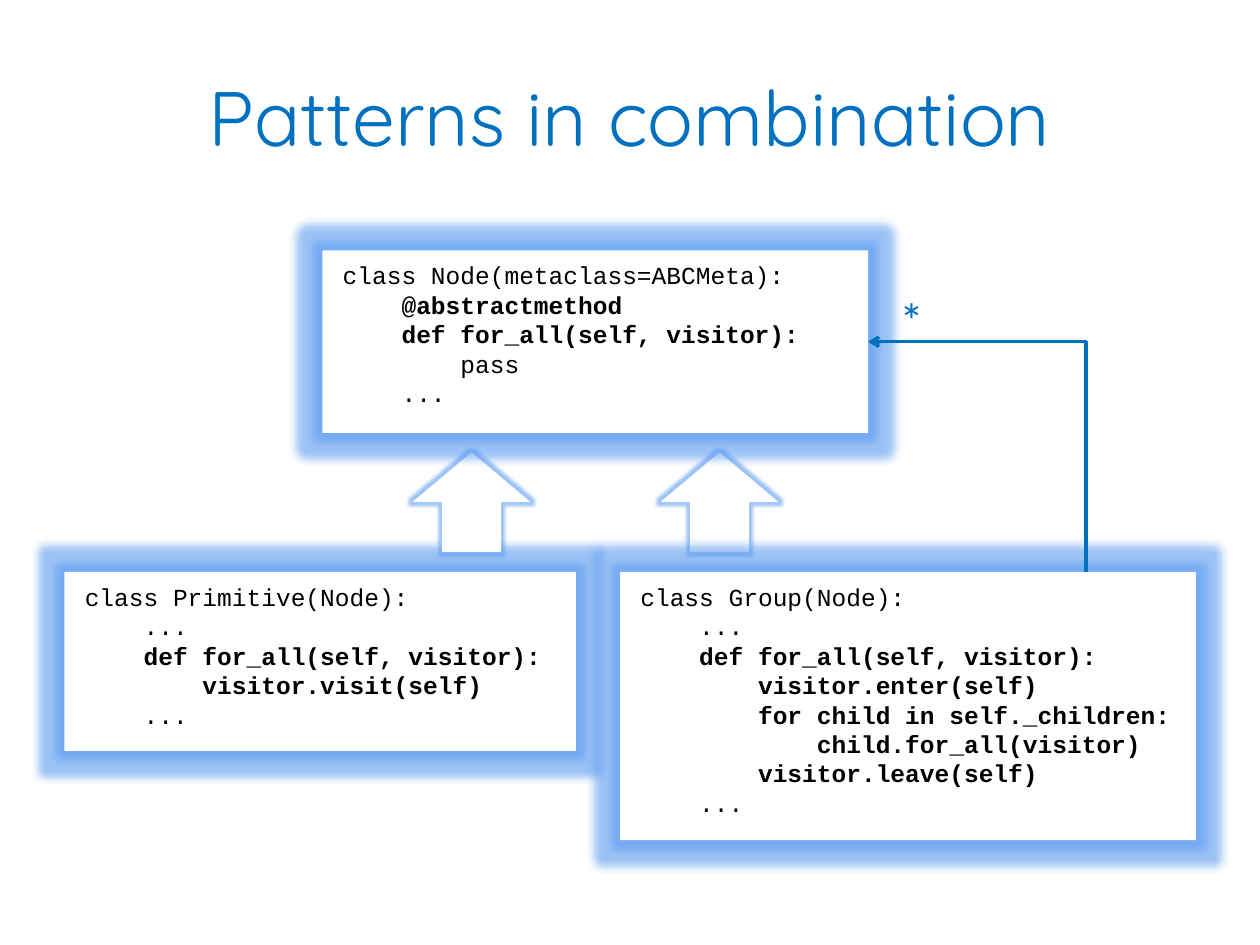
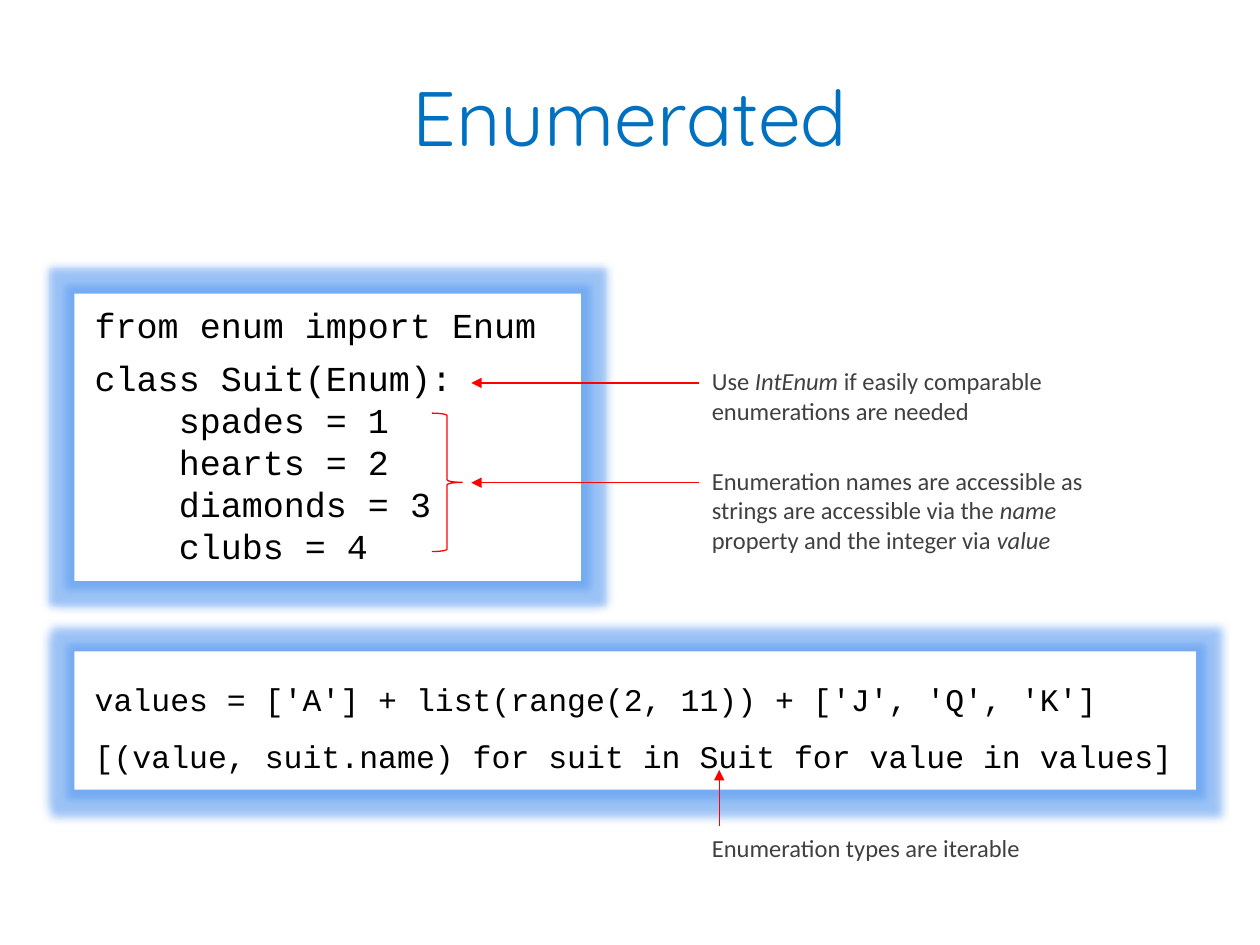
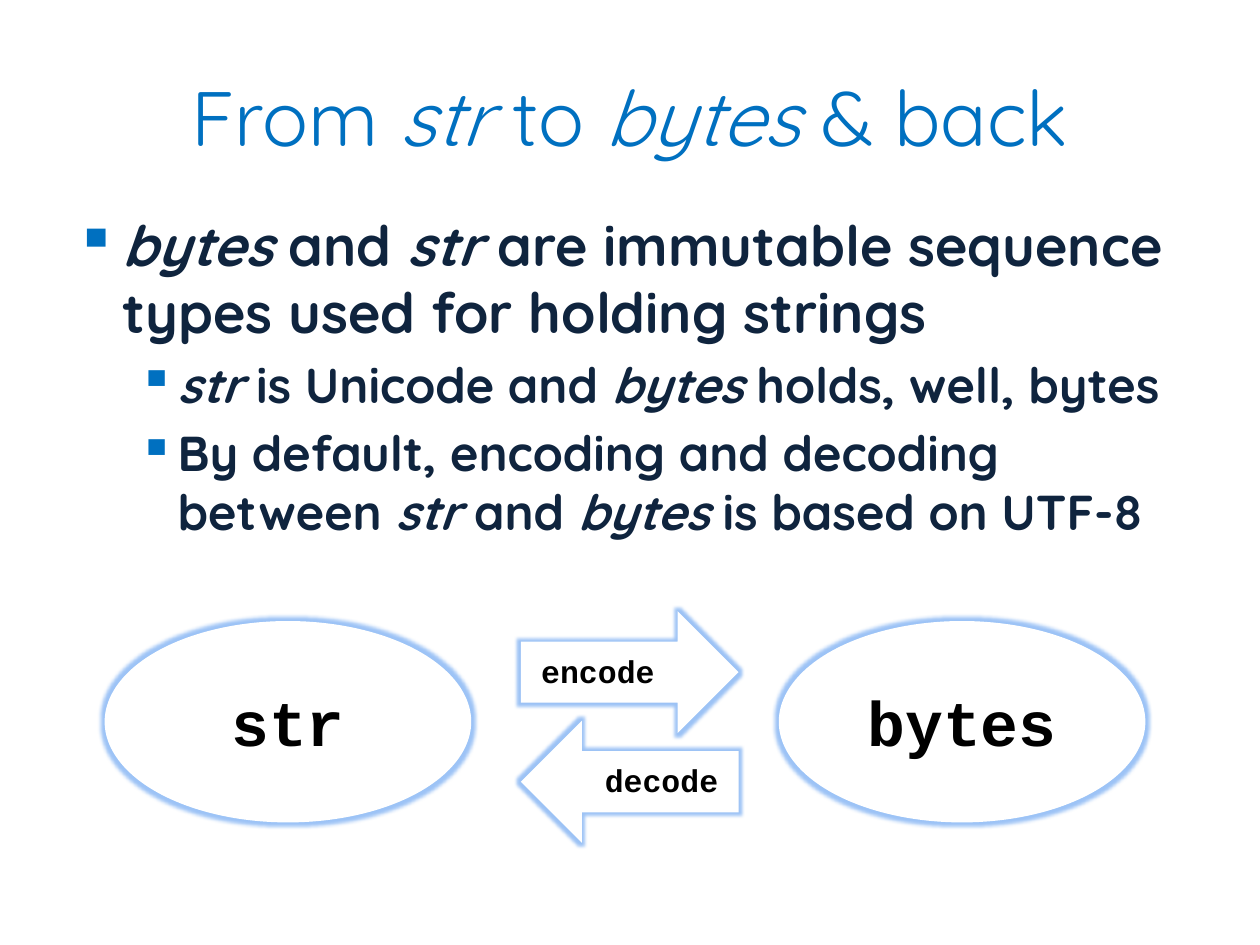
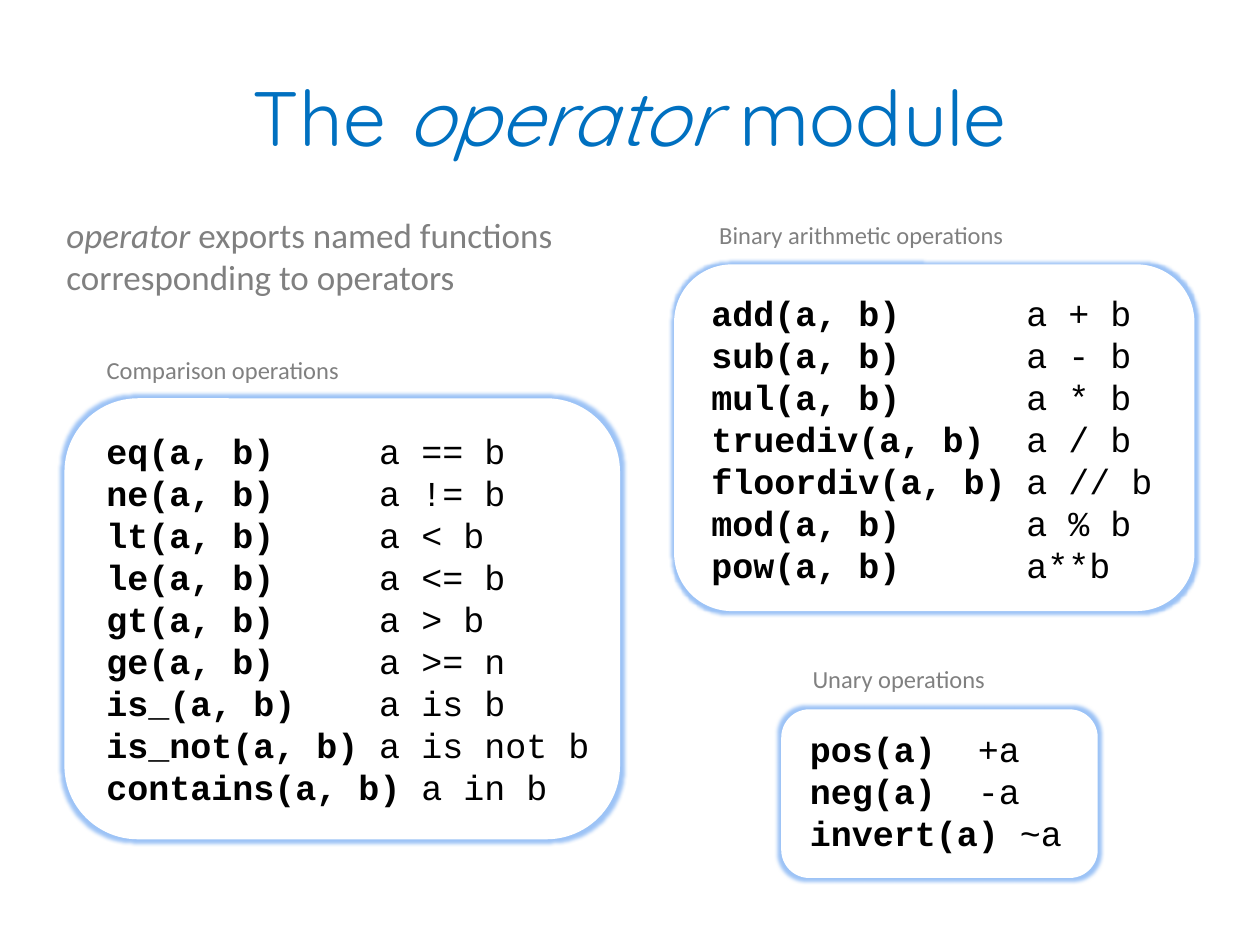
from dataclasses import dataclass
from typing import NamedTuple

from lxml.etree import SubElement
from pptx import Presentation
from pptx.dml.color import RGBColor
from pptx.enum.shapes import MSO_CONNECTOR, MSO_SHAPE
from pptx.enum.text import MSO_ANCHOR, PP_ALIGN
from pptx.oxml.ns import qn
from pptx.shapes.autoshape import Shape
from pptx.slide import Slide
from pptx.text.text import TextFrame, _Paragraph
from pptx.util import Cm, Pt

BLUE = "0070C0"
NAVY = "0F243E"
BLACK = "000000"
WHITE = "FFFFFF"
RED = "FF0000"
DARK_GREY = "404040"
GREY = "808080"
GLOW = "5B9BF0"

HEADING_FONT = "Quicksand"
CODE_FONT = "Courier New"
NOTE_FONT = "Calibri"

WIDE_GLOW = 10
THIN_GLOW = 4
SIDE_INSET = 0.41
EDGE_INSET = 0.2
MARK = "|"


class Box(NamedTuple):
    left: float
    top: float
    width: float
    height: float

    def lengths(self) -> tuple[Cm, Cm, Cm, Cm]:
        return Cm(self.left), Cm(self.top), Cm(self.width), Cm(self.height)


@dataclass(frozen=True)
class Style:
    font: str
    size: float
    color: str
    bold: bool = False
    italic: bool = False
    marked: str = "italic"


@dataclass(frozen=True)
class Panel:
    box: Box
    lines: tuple[str, ...] = ()
    size: float = 14
    kind: MSO_SHAPE = MSO_SHAPE.RECTANGLE
    glow: float = WIDE_GLOW
    bold: bool = False
    align: PP_ALIGN = PP_ALIGN.LEFT
    anchor: MSO_ANCHOR = MSO_ANCHOR.TOP
    insets: tuple[float, float, float] = (SIDE_INSET, EDGE_INSET, SIDE_INSET)
    flipped: bool = False
    tab_columns: tuple[int, ...] = ()


@dataclass(frozen=True)
class Note:
    box: Box
    text: str
    size: float = 14
    color: str = DARK_GREY
    wrap: bool = True


class Bullet(NamedTuple):
    text: str
    level: int


class BulletLevel(NamedTuple):
    margin: float
    hanging: float
    size: float


TITLE_BOX = Box(1.27, 0.74, 22.86, 3.18)
TITLE_STYLE = Style(HEADING_FONT, 44, BLUE)
BULLET_LEVELS = (BulletLevel(0.95, 0.95, 32), BulletLevel(2.06, 0.79, 28))


def rgb(color: str) -> RGBColor:
    return RGBColor.from_string(color)


def write(paragraph: _Paragraph, text: str, style: Style) -> None:
    for index, part in enumerate(text.split(MARK)):
        if not part:
            continue
        run = paragraph.add_run()
        run.text = part
        font = run.font
        font.name, font.size = style.font, Pt(style.size)
        font.color.rgb = rgb(style.color)
        font.bold, font.italic = style.bold, style.italic
        if index % 2:
            setattr(font, style.marked, True)


def write_lines(frame: TextFrame, lines: tuple[str, ...], style: Style) -> list[_Paragraph]:
    paragraphs = []
    for index, line in enumerate(lines):
        paragraph = frame.add_paragraph() if index else frame.paragraphs[0]
        write(paragraph, line, style)
        paragraphs.append(paragraph)
    return paragraphs


def add_titled_slide(deck: Presentation, title: str) -> Slide:
    slide = deck.slides.add_slide(deck.slide_layouts[5])
    heading = slide.shapes.title
    heading.left, heading.top, heading.width, heading.height = TITLE_BOX.lengths()
    heading.text_frame.vertical_anchor = MSO_ANCHOR.MIDDLE
    paragraph = heading.text_frame.paragraphs[0]
    paragraph.alignment = PP_ALIGN.CENTER
    write(paragraph, title, TITLE_STYLE)
    return slide


def add_glow(shape: Shape, radius: float) -> None:
    effects = shape.element.spPr.find(qn("a:effectLst"))
    glow = SubElement(effects, qn("a:glow"), rad=str(Pt(radius)))
    color = SubElement(glow, qn("a:srgbClr"), val=GLOW)
    SubElement(color, qn("a:alpha"), val="60000")


def flip(shape: Shape) -> None:
    shape.element.spPr.find(qn("a:xfrm")).set("flipH", "1")


def add_arrowhead(line_shape, head: str) -> None:
    line = line_shape.element.spPr.find(qn("a:ln"))
    SubElement(line, qn("a:tailEnd"), type=head)


def add_tab_stops(paragraph: _Paragraph, columns: tuple[int, ...], size: float) -> None:
    stops = SubElement(paragraph._p.get_or_add_pPr(), qn("a:tabLst"))
    for column in columns:
        SubElement(stops, qn("a:tab"), pos=str(Pt(column * size * 0.6)), algn="l")


def add_panel(slide: Slide, panel: Panel) -> list[_Paragraph]:
    shape = slide.shapes.add_shape(panel.kind, *panel.box.lengths())
    shape.shadow.inherit = False
    shape.fill.solid()
    shape.fill.fore_color.rgb = rgb(WHITE)
    shape.line.fill.background()
    add_glow(shape, panel.glow)
    if panel.flipped:
        flip(shape)
    frame = shape.text_frame
    frame.word_wrap = True
    frame.vertical_anchor = panel.anchor
    left, edge, right = panel.insets
    frame.margin_left, frame.margin_right = Cm(left), Cm(right)
    frame.margin_top = frame.margin_bottom = Cm(edge)
    style = Style(CODE_FONT, panel.size, BLACK, bold=panel.bold, marked="bold")
    paragraphs = write_lines(frame, panel.lines, style)
    for paragraph in paragraphs:
        paragraph.alignment = panel.align
        if panel.tab_columns:
            add_tab_stops(paragraph, panel.tab_columns, panel.size)
    return paragraphs


def add_note(slide: Slide, note: Note) -> None:
    frame = slide.shapes.add_textbox(*note.box.lengths()).text_frame
    frame.word_wrap = note.wrap
    write(frame.paragraphs[0], note.text, Style(NOTE_FONT, note.size, note.color))


def add_pointer(slide: Slide, start: tuple[float, float], end: tuple[float, float]) -> None:
    pointer = slide.shapes.add_connector(
        MSO_CONNECTOR.STRAIGHT, *(Cm(value) for value in (*start, *end))
    )
    pointer.line.color.rgb = rgb(RED)
    pointer.line.width = Pt(0.75)
    add_arrowhead(pointer, "triangle")
    SubElement(pointer.element.spPr, qn("a:effectLst"))


def add_children_link(slide: Slide, points: list[tuple[float, float]]) -> None:
    start, *rest = [(Cm(x), Cm(y)) for x, y in points]
    builder = slide.shapes.build_freeform(*start)
    builder.add_line_segments(rest, close=False)
    link = builder.convert_to_shape()
    link.shadow.inherit = False
    link.fill.background()
    link.line.color.rgb = rgb(BLUE)
    link.line.width = Pt(2)
    add_arrowhead(link, "arrow")


def add_bullets(slide: Slide, box: Box, bullets: tuple[Bullet, ...]) -> None:
    frame = slide.shapes.add_textbox(*box.lengths()).text_frame
    frame.word_wrap = True
    for index, bullet in enumerate(bullets):
        level = BULLET_LEVELS[bullet.level]
        paragraph = frame.add_paragraph() if index else frame.paragraphs[0]
        paragraph.level = bullet.level
        properties = paragraph._p.get_or_add_pPr()
        properties.set("marL", str(Cm(level.margin)))
        properties.set("indent", str(-Cm(level.hanging)))
        color = SubElement(properties, qn("a:buClr"))
        SubElement(color, qn("a:srgbClr"), val=BLUE)
        SubElement(properties, qn("a:buChar"), char="▪")
        if index:
            paragraph.space_before = Pt(level.size * 0.2)
        write(paragraph, bullet.text, Style(HEADING_FONT, level.size, NAVY, bold=True))


def build_patterns(deck: Presentation) -> None:
    slide = add_titled_slide(deck, "Patterns in combination")
    node = Box(6.5, 5.05, 11, 3.68)
    group = Box(12.5, 11.53, 11.61, 5.41)
    add_panel(slide, Panel(Box(1.3, group.top, 10.31, 3.61), (
        "class Primitive(Node):",
        "    ...",
        "|    def for_all(self, visitor):|",
        "|        visitor.visit(self)|",
        "    ...",
    )))
    for left in (8.31, 13.31):
        add_panel(slide, Panel(
            Box(left, 9.12, 2.39, 2.01), kind=MSO_SHAPE.UP_ARROW, glow=THIN_GLOW
        ))
    add_panel(slide, Panel(node, (
        "class Node(metaclass=ABCMeta):",
        "|    @abstractmethod|",
        "|    def for_all(self, visitor):|",
        "        pass",
        "    ...",
    )))
    add_panel(slide, Panel(group, (
        "class Group(Node):",
        "    ...",
        "|    def for_all(self, visitor):|",
        "|        visitor.enter(self)|",
        "|        for child in self._children:|",
        "|            child.for_all(visitor)|",
        "|        visitor.leave(self)|",
        "    ...",
    )))
    link_left, link_right = node.left + node.width, 21.89
    link_top = node.top + node.height / 2
    add_children_link(slide, [
        (link_right, group.top), (link_right, link_top), (link_left, link_top)
    ])
    add_note(slide, Note(Box(17.88, 5.72, 1.02, 1.45), "*", 28, BLUE, wrap=False))


def build_enumerated(deck: Presentation) -> None:
    slide = add_titled_slide(deck, "Enumerated")
    suit_lines = add_panel(slide, Panel(Box(1.5, 5.92, 10.21, 5.79), (
        "from enum import Enum",
        "class Suit(Enum):",
        "    spades = 1",
        "    hearts = 2",
        "    diamonds = 3",
        "    clubs = 4",
    ), size=20))
    suit_lines[1].space_before = Pt(6)
    value_lines = add_panel(slide, Panel(Box(1.5, 13.13, 22.61, 2.79), (
        "values = ['A'] + list(range(2, 11)) + ['J', 'Q', 'K']",
        "[(value, suit.name) for suit in Suit for value in values]",
    ), size=18))
    for line in value_lines:
        line.line_spacing = 1.5

    brace = slide.shapes.add_shape(MSO_SHAPE.LEFT_BRACE, *Box(8.71, 8.33, 0.61, 2.79).lengths())
    brace.shadow.inherit = False
    brace.fill.background()
    brace.line.color.rgb = rgb(RED)
    brace.line.width = Pt(0.75)
    flip(brace)

    notes_left, notes_width = 14.1, 8.2
    side_notes = (
        (7.26, 1.45, "Use |IntEnum| if easily comparable enumerations are needed"),
        (9.27, 2.06, "Enumeration names are accessible as strings are accessible via the "
                     "|name| property and the integer via |value|"),
    )
    for top, height, text in side_notes:
        add_note(slide, Note(Box(notes_left, top, notes_width, height), text))
        add_pointer(slide, (notes_left, top + 0.46), (9.5, top + 0.46))
    iterable = Box(notes_left, 16.66, notes_width, 0.86)
    add_note(slide, Note(iterable, "Enumeration types are iterable"))
    add_pointer(slide, (14.5, iterable.top), (14.5, 15.52))


def build_str_and_bytes(deck: Presentation) -> None:
    slide = add_titled_slide(deck, "From |str| to |bytes| & back")
    add_bullets(slide, Box(1.27, 4.11, 22.86, 12.57), (
        Bullet("|bytes| and |str| are immutable sequence types used for holding strings", 0),
        Bullet("|str| is Unicode and |bytes| holds, well, bytes", 1),
        Bullet("By default, encoding and decoding between |str| and |bytes| "
               "is based on UTF-8", 1),
    ))
    for left, type_name in ((2.11, "str"), (15.7, "bytes")):
        add_panel(slide, Panel(
            Box(left, 12.52, 7.39, 4.06), (type_name,), 36, MSO_SHAPE.OVAL, THIN_GLOW,
            bold=True, align=PP_ALIGN.CENTER, anchor=MSO_ANCHOR.MIDDLE, insets=(0, 0, 0),
        ))
    conversions = (
        (12.32, "encode", PP_ALIGN.LEFT, False),
        (14.53, "decode", PP_ALIGN.RIGHT, True),
    )
    for top, method, align, flipped in conversions:
        add_panel(slide, Panel(
            Box(10.5, top, 4.39, 2.46), (method,), 18, MSO_SHAPE.RIGHT_ARROW, THIN_GLOW,
            bold=True, align=align, flipped=flipped,
        ))


class Operations(NamedTuple):
    caption: str
    caption_box: Box
    box: Box
    tab_columns: tuple[int, ...]
    right_inset: float
    rows: tuple[tuple[str, str], ...]


OPERATIONS = (
    Operations(
        "Comparison operations", Box(1.9, 7.04, 5.23, 0.86),
        Box(1.3, 8.03, 11.2, 8.89), (13, 15), 0,
        (
            ("eq(a, b)", "a == b"),
            ("ne(a, b)", "a != b"),
            ("lt(a, b)", "a < b"),
            ("le(a, b)", "a <= b"),
            ("gt(a, b)", "a > b"),
            ("ge(a, b)", "a >= n"),
            ("is_(a, b)", "a is b"),
            ("is_not(a, b)", "a is not b"),
            ("contains(a, b)", "a in b"),
        ),
    ),
    Operations(
        "Binary arithmetic operations", Box(14.25, 4.32, 6.3, 0.86),
        Box(13.59, 5.33, 10.49, 6.99), (15,), SIDE_INSET,
        (
            ("add(a, b)", "a + b"),
            ("sub(a, b)", "a - b"),
            ("mul(a, b)", "a * b"),
            ("truediv(a, b)", "a / b"),
            ("floordiv(a, b)", "a // b"),
            ("mod(a, b)", "a % b"),
            ("pow(a, b)", "a**b"),
        ),
    ),
    Operations(
        "Unary operations", Box(16.13, 13.26, 4.04, 0.86),
        Box(15.75, 14.3, 6.38, 3.4), (8, 10), SIDE_INSET,
        (("pos(a)", "+a"), ("neg(a)", "-a"), ("invert(a)", "~a")),
    ),
)


def build_operator(deck: Presentation) -> None:
    slide = add_titled_slide(deck, "The |operator| module")
    for operations in OPERATIONS:
        add_panel(slide, Panel(
            operations.box,
            tuple(f"|{call}|\t{expression}" for call, expression in operations.rows),
            20, MSO_SHAPE.ROUNDED_RECTANGLE, THIN_GLOW,
            insets=(SIDE_INSET, EDGE_INSET, operations.right_inset),
            tab_columns=operations.tab_columns,
        ))
        add_note(slide, Note(
            operations.caption_box, operations.caption, color=GREY, wrap=False
        ))
    add_note(slide, Note(
        Box(1.09, 4.17, 10.39, 1.96),
        "|operator| exports named functions corresponding to operators", 20, GREY,
    ))


def main() -> None:
    deck = Presentation()
    deck.slide_width, deck.slide_height = Cm(25.4), Cm(19.05)
    for build in (build_patterns, build_enumerated, build_str_and_bytes, build_operator):
        build(deck)
    deck.save("out.pptx")


if __name__ == "__main__":
    main()
